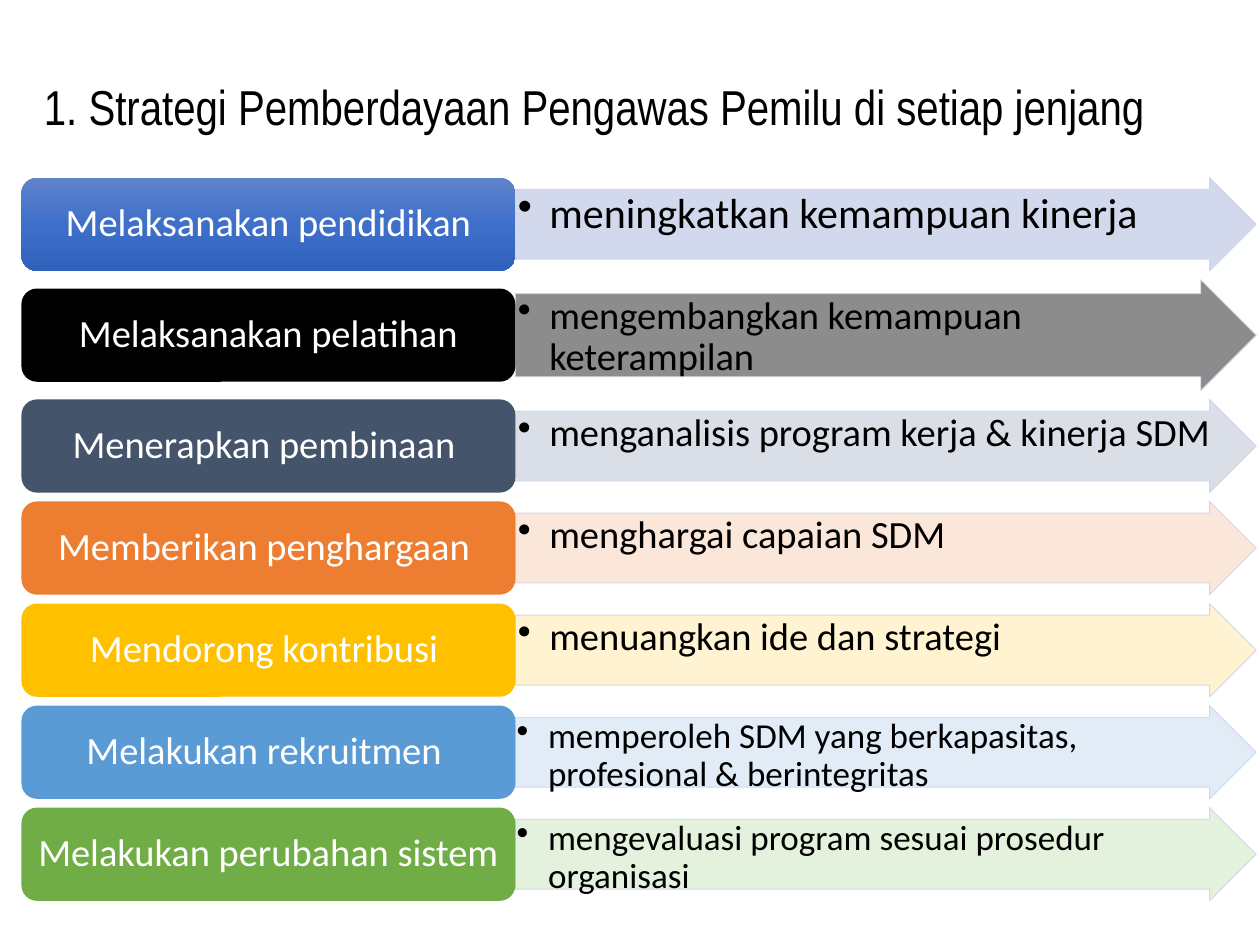
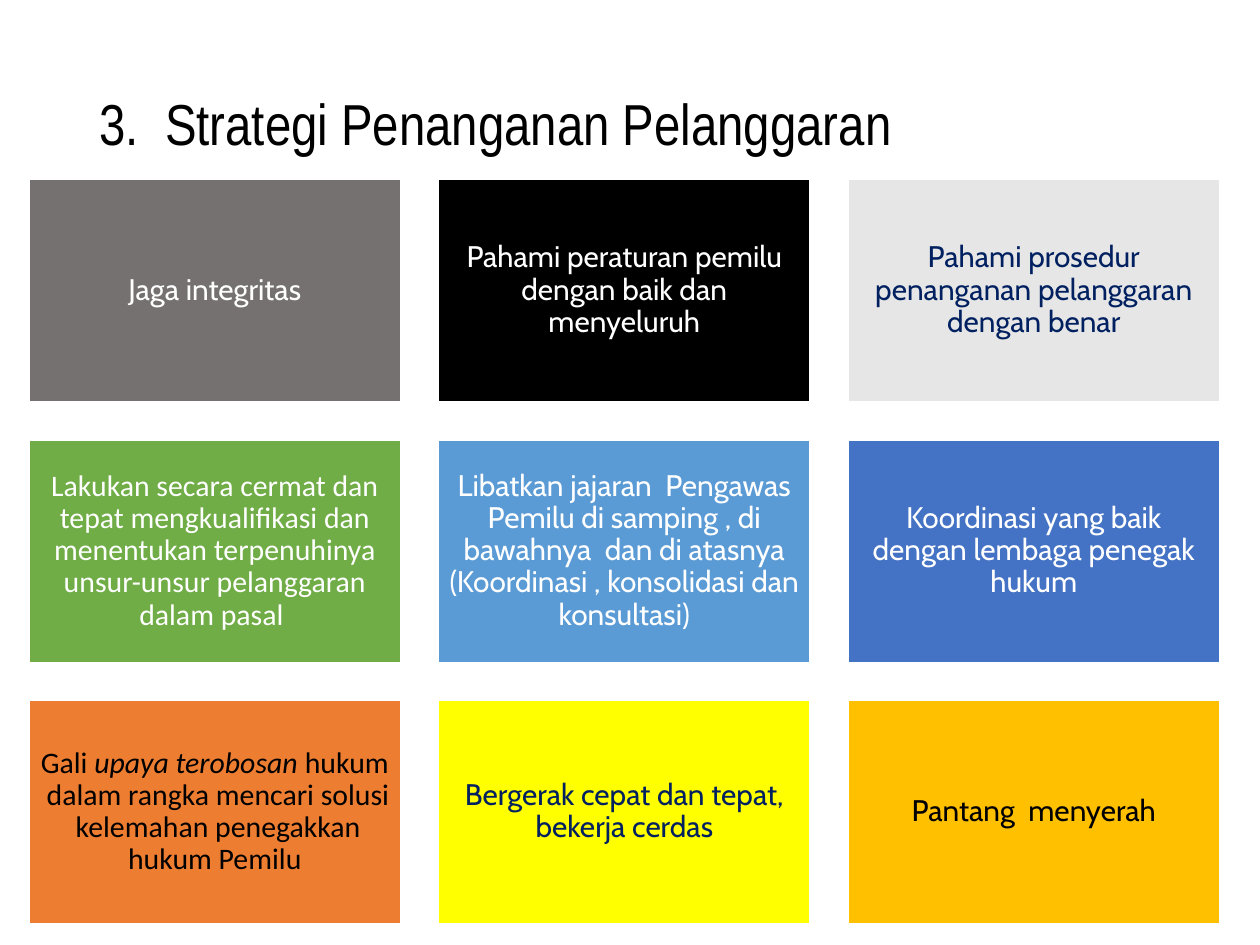
from copy import deepcopy

from lxml import etree
from pptx import Presentation, util as u
from pptx.dml.color import RGBColor
from pptx.enum import shapes, text
from pptx.oxml.ns import qn

BLACK = RGBColor(0x00, 0x00, 0x00)
WHITE = RGBColor(0xFF, 0xFF, 0xFF)
NAVY = RGBColor(0x00, 0x20, 0x60)
BLUE = RGBColor(0x44, 0x72, 0xC4)
SKY = RGBColor(0x5B, 0x9B, 0xD5)
GREEN = RGBColor(0x70, 0xAD, 0x47)
ORANGE = RGBColor(0xED, 0x7D, 0x31)
GOLD = RGBColor(0xFF, 0xC0, 0x00)
YELLOW = RGBColor(0xFF, 0xFF, 0x00)
SLATE = RGBColor(0x44, 0x54, 0x6A)
WARM_GRAY = RGBColor(0x76, 0x71, 0x71)
LIGHT_GRAY = RGBColor(0xE7, 0xE6, 0xE6)
MID_GRAY = RGBColor(0x80, 0x80, 0x80)
PALE_BLUE = RGBColor(0xCF, 0xD5, 0xEA)
PALE_SLATE = RGBColor(0xD6, 0xDC, 0xE5)
PALE_ORANGE = RGBColor(0xFB, 0xE5, 0xD6)
PALE_GOLD = RGBColor(0xFF, 0xF2, 0xCC)
PALE_SKY = RGBColor(0xDE, 0xEB, 0xF7)
PALE_GREEN = RGBColor(0xE2, 0xF0, 0xD9)
BLUE_GRADIENT = (
    RGBColor(0x61, 0x83, 0xCB),
    RGBColor(0x3E, 0x70, 0xCA),
    RGBColor(0x30, 0x62, 0xBB),
)

TITLE_FONT, BODY_FONT, TILE_FONT = "Arial Narrow", "Calibri", "Cabin"
COLUMNS, ROWS = 100, 75

# label, label fill, purpose, arrow fill, purpose size, arrow height in rows
STRATEGIES = [
    ("Melaksanakan pendidikan", BLUE_GRADIENT,
     "meningkatkan kemampuan kinerja", PALE_BLUE, 24, 7.4),
    ("Melaksanakan pelatihan", BLACK,
     "mengembangkan kemampuan keterampilan", MID_GRAY, 22, 8.8),
    ("Menerapkan pembinaan ", SLATE,
     "menganalisis program kerja & kinerja SDM", PALE_SLATE, 22, 7.4),
    ("Memberikan penghargaan ", ORANGE,
     "menghargai capaian SDM", PALE_ORANGE, 22, 7.4),
    ("Mendorong kontribusi ", GOLD,
     "menuangkan ide dan strategi", PALE_GOLD, 22, 7.4),
    ("Melakukan rekruitmen ", SKY,
     "memperoleh SDM yang berkapasitas, profesional & berintegritas",
     PALE_SKY, 20, 7.4),
    ("Melakukan perubahan sistem ", GREEN,
     "mengevaluasi program sesuai prosedur organisasi", PALE_GREEN, 20, 7.4),
]

# text (asterisks enclose italics), fill, text colour, font
TILES = [
    ("Jaga integritas", WARM_GRAY, WHITE, TILE_FONT),
    ("Pahami peraturan pemilu dengan baik dan menyeluruh",
     BLACK, WHITE, TILE_FONT),
    ("Pahami prosedur penanganan pelanggaran dengan benar",
     LIGHT_GRAY, NAVY, TILE_FONT),
    ("Lakukan secara cermat dan tepat mengkualifikasi dan menentukan "
     "terpenuhinya unsur-unsur pelanggaran dalam pasal ",
     GREEN, WHITE, BODY_FONT),
    ("Libatkan jajaran  Pengawas Pemilu di samping , di bawahnya  dan di "
     "atasnya (Koordinasi , konsolidasi dan konsultasi)",
     SKY, WHITE, TILE_FONT),
    ("Koordinasi yang baik dengan lembaga penegak hukum",
     BLUE, WHITE, TILE_FONT),
    ("Gali *upaya terobosan *hukum  dalam rangka mencari solusi  kelemahan "
     "penegakkan hukum Pemilu", ORANGE, BLACK, BODY_FONT),
    ("Bergerak cepat dan tepat, bekerja cerdas", YELLOW, NAVY, TILE_FONT),
    ("Pantang  menyerah", GOLD, BLACK, TILE_FONT),
]


class Deck:
    """Holds the shared style and the current slide; boxes are in grid units."""

    def __init__(self):
        self.presentation = Presentation()
        self.presentation.slide_width = u.Inches(10)
        self.presentation.slide_height = u.Inches(7.5)
        self.column = self.presentation.slide_width / COLUMNS
        self.row = self.presentation.slide_height / ROWS
        self.slide = None

    def new_slide(self):
        layout = self.presentation.slide_layouts[6]
        self.slide = self.presentation.slides.add_slide(layout)

    def place(self, left, top, width, height):
        return (round(left * self.column), round(top * self.row),
                round(width * self.column), round(height * self.row))

    def set_text(self, shape, words, size, color, font=BODY_FONT, insets=(0.1, 0.05),
                 anchor=text.MSO_ANCHOR.MIDDLE, align=text.PP_ALIGN.CENTER):
        frame = shape.text_frame
        frame.word_wrap = True
        frame.vertical_anchor = anchor
        frame.margin_left = frame.margin_right = u.Inches(insets[0])
        frame.margin_top = frame.margin_bottom = u.Inches(insets[1])
        paragraph = frame.paragraphs[0]
        paragraph.alignment = align
        paragraph.line_spacing = 0.9
        for index, piece in enumerate(words.split("*")):
            run = paragraph.add_run()
            run.text = piece
            run.font.name = font
            run.font.size = u.Pt(size)
            run.font.color.rgb = color
            run.font.italic = index % 2 == 1
        return paragraph

    def text_box(self, box, words, size, color=BLACK, **style):
        shape = self.slide.shapes.add_textbox(*self.place(*box))
        return self.set_text(shape, words, size, color,
                             align=text.PP_ALIGN.LEFT, **style)

    def title(self, box, words, size):
        self.text_box(box, words, size, font=TITLE_FONT)

    def shape(self, kind, box, fill, line=None, line_width=1):
        shape = self.slide.shapes.add_shape(kind, *self.place(*box))
        shape.shadow.inherit = False
        if isinstance(fill, tuple) and not isinstance(fill, RGBColor):
            self.fill_gradient(shape, fill)
        else:
            shape.fill.solid()
            shape.fill.fore_color.rgb = fill
        if line is None:
            shape.line.fill.background()
        else:
            shape.line.color.rgb = line
            shape.line.width = u.Pt(line_width)
        return shape

    def fill_gradient(self, shape, colors):
        """Fill from top to bottom with three evenly spaced colours."""
        shape.fill.gradient()
        shape.fill.gradient_angle = 270
        stop_list = shape._element.spPr.find(".//" + qn("a:gsLst"))
        stop_list.insert(1, deepcopy(stop_list[0]))
        for index, stop in enumerate(shape.fill.gradient_stops):
            stop.position = index / 2
            stop.color.rgb = colors[index]

    def label(self, box, words, fill):
        shape = self.shape(shapes.MSO_SHAPE.ROUNDED_RECTANGLE, box, fill)
        self.set_text(shape, words, 22, WHITE, insets=(0.09, 0.05))

    def arrow(self, box, words, fill, size):
        """Draw a translucent arrow with a bulleted text on its shaft."""
        left, top, width, height = box
        shape = self.shape(shapes.MSO_SHAPE.RIGHT_ARROW, box, fill, PALE_BLUE, 0.5)
        shape.adjustments[0] = 0.75
        shape.adjustments[1] = 0.5
        for color in shape._element.spPr.iter(qn("a:srgbClr")):
            etree.SubElement(color, qn("a:alpha"), val="90000")
        shaft = (left, top + height / 8, width - height * 0.375, height * 0.75)
        inset = 0.02 if size > 20 else 0.01
        paragraph = self.text_box(shaft, words, size, insets=(inset, inset),
                                  anchor=text.MSO_ANCHOR.TOP)
        properties = paragraph._p.get_or_add_pPr()
        properties.set("marL", str(u.Inches(0.25)))
        properties.set("indent", str(-u.Inches(0.25)))
        etree.SubElement(properties, qn("a:buChar"), char="•")

    def tile(self, box, words, fill, color, font):
        shape = self.shape(shapes.MSO_SHAPE.RECTANGLE, box, fill, WHITE)
        self.set_text(shape, words, 17, color, font, insets=(0.07, 0.07))


def add_empowerment_slide(deck):
    deck.new_slide()
    deck.title((2.5, 3.3, 94.2, 10.8),
               "1. Strategi Pemberdayaan Pengawas Pemilu di setiap jenjang", 28)
    label_left, label_width, label_height = 1.7, 39.2, 7.4
    arrow_left, arrow_width = label_left + label_width, 58.8
    top, gap = 14.1, 0.7
    for label, fill, purpose, arrow_fill, size, height in STRATEGIES:
        deck.arrow((arrow_left, top, arrow_width, height), purpose, arrow_fill, size)
        label_top = top + (height - label_height) / 2
        deck.label((label_left, label_top, label_width, label_height), label, fill)
        top += height + gap


def add_violation_slide(deck):
    deck.new_slide()
    deck.title((6.9, 1.7, 86.2, 16.8), "3.  Strategi Penanganan Pelanggaran", 33)
    left, top, width, height, gap = 2.3, 14.2, 29.5, 17.7, 3
    for index, tile in enumerate(TILES):
        row, column = divmod(index, 3)
        box = (left + column * (width + gap), top + row * (height + gap),
               width, height)
        deck.tile(box, *tile)


def main():
    deck = Deck()
    add_empowerment_slide(deck)
    add_violation_slide(deck)
    deck.presentation.save("out.pptx")


if __name__ == "__main__":
    main()
